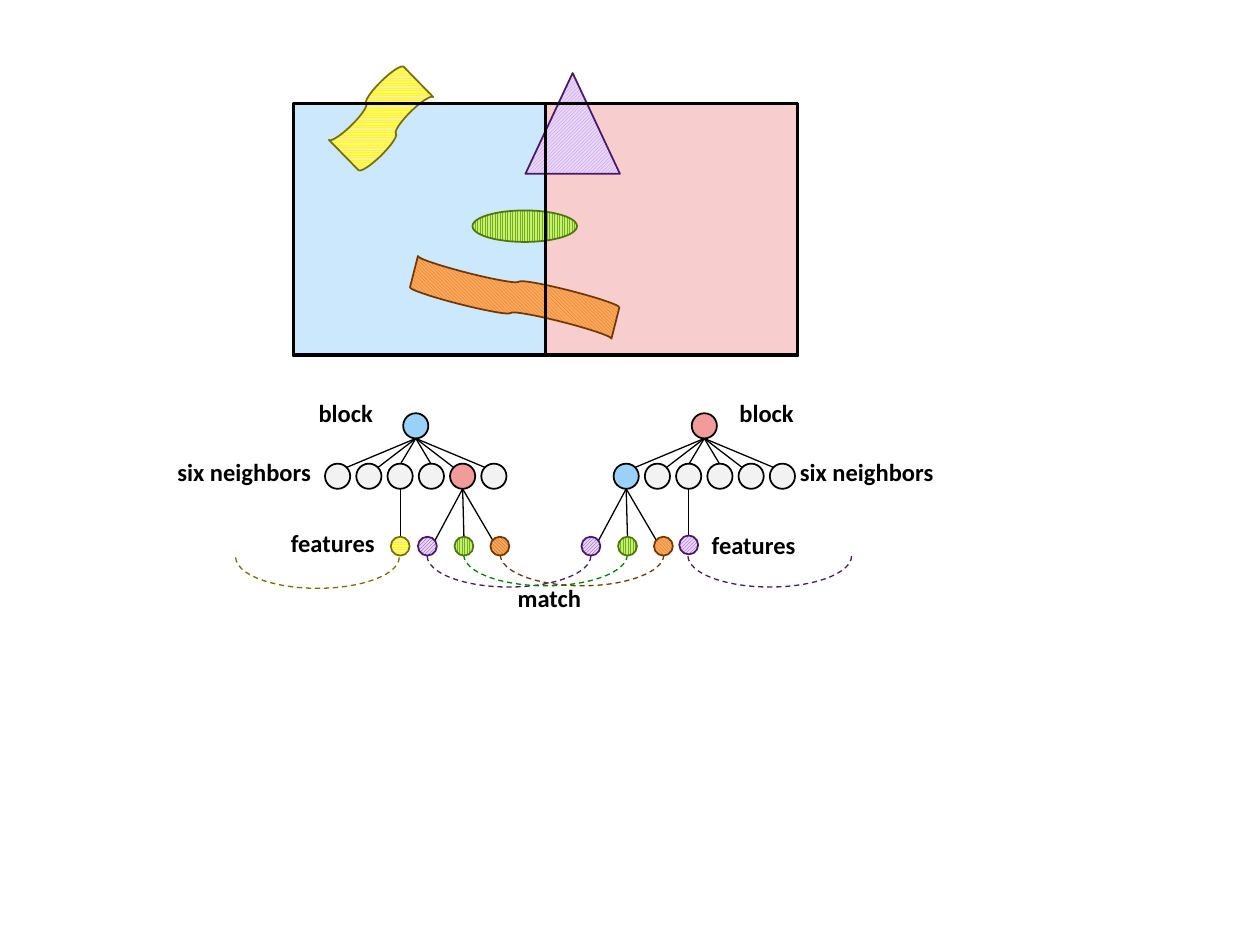
from dataclasses import dataclass
from lxml import etree
from pptx import Presentation
from pptx.dml.color import RGBColor
from pptx.enum.dml import MSO_LINE, MSO_PATTERN
from pptx.enum.shapes import MSO_CONNECTOR, MSO_SHAPE
from pptx.enum.text import MSO_AUTO_SIZE
from pptx.oxml.ns import qn
from pptx.util import Inches, Pt

STRAIGHT = MSO_CONNECTOR.STRAIGHT
DASH = MSO_LINE.DASH
RECTANGLE, OVAL, ARC = MSO_SHAPE.RECTANGLE, MSO_SHAPE.OVAL, MSO_SHAPE.ARC
TRIANGLE, TAPE = MSO_SHAPE.ISOSCELES_TRIANGLE, MSO_SHAPE.FLOWCHART_PUNCHED_TAPE
FIT_TEXT = MSO_AUTO_SIZE.SHAPE_TO_FIT_TEXT
UPWARD, DOWNWARD = MSO_PATTERN.LIGHT_UPWARD_DIAGONAL, MSO_PATTERN.LIGHT_DOWNWARD_DIAGONAL
LIGHT_VERTICAL, NARROW_VERTICAL = MSO_PATTERN.LIGHT_VERTICAL, MSO_PATTERN.NARROW_VERTICAL
LIGHT_HORIZONTAL, NARROW_HORIZONTAL = MSO_PATTERN.LIGHT_HORIZONTAL, MSO_PATTERN.NARROW_HORIZONTAL
WIDTH, HEIGHT = Inches(10), Inches(7.5)
COLUMNS, ROWS = 10, 7.5


@dataclass(frozen=True)
class Hatch:
    pattern: object
    front: str
    back: str


@dataclass(frozen=True)
class Theme:
    font: str = "Calibri"
    text_size: float = 14
    black: str = "000000"
    blue_area: str = "CCE8FC"
    red_area: str = "F8CDCD"
    blue: str = "9AD1F9"
    red: str = "F19B9B"
    grey: str = "F2F2F2"
    purple_line: str = "47186B"
    yellow_line: str = "796D04"
    orange_line: str = "713804"
    green_line: str = "4F750D"
    green_match: str = "008000"
    triangle: Hatch = Hatch(UPWARD, "BB86E3", "E8D7F6")
    yellow_tape: Hatch = Hatch(LIGHT_HORIZONTAL, "FFFF00", "FCF19A")
    orange_tape: Hatch = Hatch(DOWNWARD, "E26F08", "F9A85F")
    ellipse: Hatch = Hatch(LIGHT_VERTICAL, "77AF14", "C4F078")
    purple_dot: Hatch = Hatch(UPWARD, "6A24A0", "E8D7F6")
    single_purple_dot: Hatch = Hatch(UPWARD, "8D35D1", "E8D7F6")
    green_dot: Hatch = Hatch(NARROW_VERTICAL, "77AF14", "C4F078")
    dark_orange_dot: Hatch = Hatch(DOWNWARD, "AA5306", "F9A85F")
    yellow_dot: Hatch = Hatch(NARROW_HORIZONTAL, "FFFF00", "FCF19A")


class Canvas:
    def __init__(self, slide, theme):
        self.slide, self.theme = slide, theme

    def x(self, columns):
        return round(WIDTH * columns / COLUMNS)

    def y(self, rows):
        return round(HEIGHT * rows / ROWS)

    def box(self, left, top, width, height):
        return self.x(left), self.y(top), self.x(width), self.y(height)

    def color(self, value):
        return RGBColor.from_string(value)

    def shape(self, kind, box, fill, line, weight=1, rotation=0, group=None):
        shape = (group or self.slide).shapes.add_shape(kind, *self.box(*box))
        shape.shadow.inherit = False
        shape.rotation = rotation
        if fill is None:
            shape.fill.background()
        elif isinstance(fill, Hatch):
            shape.fill.patterned()
            shape.fill.pattern = fill.pattern
            shape.fill.fore_color.rgb = self.color(fill.front)
            shape.fill.back_color.rgb = self.color(fill.back)
        else:
            shape.fill.solid()
            shape.fill.fore_color.rgb = self.color(fill)
        shape.line.color.rgb = self.color(line)
        shape.line.width = Pt(weight)
        return shape

    def circle(self, center, middle, size, fill, line, group=None):
        box = (center - size / 2, middle - size / 2, size, size)
        return self.shape(OVAL, box, fill, line, group=group)

    def line(self, start, end):
        line = self.slide.shapes.add_connector(
            STRAIGHT, self.x(start[0]), self.y(start[1]), self.x(end[0]), self.y(end[1]))
        line.line.color.rgb = self.color(self.theme.black)
        line.line.width = Pt(0.75)
        etree.SubElement(line._element.spPr, qn("a:effectLst"))

    def match_arc(self, left, top, color):
        arc = self.shape(ARC, (left, top, 1.3, 0.5), None, color, 0.75)
        arc.adjustments[0], arc.adjustments[1] = 108.27, 0
        arc.line.dash_style = DASH
        arc._element.spPr.find(qn("a:xfrm")).set("flipV", "1")

    def label(self, text, left, top, width):
        frame = self.slide.shapes.add_textbox(*self.box(left, top, width, 0.34)).text_frame
        frame.word_wrap = False
        frame.auto_size = FIT_TEXT
        paragraph = frame.paragraphs[0]
        paragraph.text = text
        font = paragraph.font
        font.name, font.size, font.bold = self.theme.font, Pt(self.theme.text_size), True
        font.color.rgb = self.color(self.theme.black)


presentation = Presentation()
presentation.slide_width, presentation.slide_height = WIDTH, HEIGHT
slide = presentation.slides.add_slide(presentation.slide_layouts[6])
theme = Theme()
canvas = Canvas(slide, theme)

BLOCK_SIZE, BLOCK_TOP = 2, 0.82
BLOCK_LEFTS = (2.33, 4.33)


def draw_blocks(fills):
    for left, fill in zip(BLOCK_LEFTS, fills):
        canvas.shape(RECTANGLE, (left, BLOCK_TOP, BLOCK_SIZE, BLOCK_SIZE), fill, theme.black, 2)


draw_blocks((theme.blue_area, theme.red_area))
canvas.shape(TRIANGLE, (4.17, 0.58, 0.75, 0.8), theme.triangle, theme.purple_line)
canvas.shape(TAPE, (2.61, 0.73, 0.83, 0.42), theme.yellow_tape, theme.yellow_line, rotation=315.6)
canvas.shape(TAPE, (3.26, 2.2, 1.65, 0.32), theme.orange_tape, theme.orange_line, rotation=14.3)
canvas.shape(OVAL, (3.75, 1.67, 0.83, 0.25), theme.ellipse, theme.green_line)
draw_blocks((None, None))

NODE_SIZE, DOT_SIZE = 0.2, 0.15
ROOT_MIDDLE, NEIGHBOR_MIDDLE = 3.38, 3.78
ROOT_BOTTOM, NEIGHBOR_BOTTOM = 3.48, 3.88
NEIGHBOR_COUNT, NEIGHBOR_STEP, SINGLE = 6, 0.248, 2
BRANCH_ENDS = ((-0.55, 3.71), (-0.3, 3.71), (-0.12, 3.68), (0.12, 3.68), (0.3, 3.71), (0.55, 3.71))
FEATURE_ENDS = ((0.01, 4.26), (-0.22, 4.29), (0.24, 4.29))
FEATURE_OFFSETS = (-0.28, 0.01, 0.295)
FEATURE_MIDDLE = 4.335


@dataclass(frozen=True)
class Tree:
    root: float
    hub: int
    root_fill: str
    hub_fill: str
    orange_dot: Hatch
    single_dot: Hatch
    single_line: str
    single_middle: float

    def neighbor(self, index):
        return self.root + (index - (NEIGHBOR_COUNT - 1) / 2) * NEIGHBOR_STEP


left_tree = Tree(3.3, 4, theme.blue, theme.red, theme.dark_orange_dot,
                 theme.yellow_dot, theme.yellow_line, 4.335)
right_tree = Tree(5.59, 0, theme.red, theme.blue, theme.orange_tape,
                  theme.single_purple_dot, theme.purple_line, 4.325)
trees = (left_tree, right_tree)

for tree in trees:
    hub, single = tree.neighbor(tree.hub), tree.neighbor(SINGLE)
    for offset, end in FEATURE_ENDS:
        canvas.line((hub, NEIGHBOR_BOTTOM), (hub + offset, end))
    canvas.line((single, NEIGHBOR_BOTTOM), (single, tree.single_middle - DOT_SIZE / 2))
    for offset, end in BRANCH_ENDS:
        canvas.line((tree.root, ROOT_BOTTOM), (tree.root + offset, end))

for left, top, color in (
    (3.39, 4.16, theme.purple_line),
    (3.68, 4.15, theme.green_match),
    (3.97, 4.15, theme.orange_line),
    (5.46, 4.16, theme.purple_line),
    (1.87, 4.17, theme.yellow_line),
):
    canvas.match_arc(left, top, color)

for tree in trees:
    group = slide.shapes.add_group_shape()
    dots = ((theme.purple_dot, theme.purple_line), (theme.green_dot, theme.green_line),
            (tree.orange_dot, theme.orange_line))
    for offset, (fill, line) in zip(FEATURE_OFFSETS, dots):
        canvas.circle(tree.neighbor(tree.hub) + offset, FEATURE_MIDDLE, DOT_SIZE, fill, line, group)
    canvas.circle(tree.neighbor(SINGLE), tree.single_middle, DOT_SIZE, tree.single_dot, tree.single_line)
    canvas.circle(tree.root, ROOT_MIDDLE, NODE_SIZE, tree.root_fill, theme.black)
    for index in range(NEIGHBOR_COUNT):
        fill = tree.hub_fill if index == tree.hub else theme.grey
        canvas.circle(tree.neighbor(index), NEIGHBOR_MIDDLE, NODE_SIZE, fill, theme.black)

for text, left, top, width in (
    ("block", 2.43, 3.11, 0.64),
    ("block", 5.77, 3.11, 0.64),
    ("six neighbors", 1.31, 3.58, 1.27),
    ("six neighbors", 6.25, 3.58, 1.27),
    ("features", 2.21, 4.14, 0.87),
    ("features", 5.55, 4.16, 0.87),
    ("match", 4.01, 4.58, 0.71),
):
    canvas.label(text, left, top, width)

presentation.save("out.pptx")
